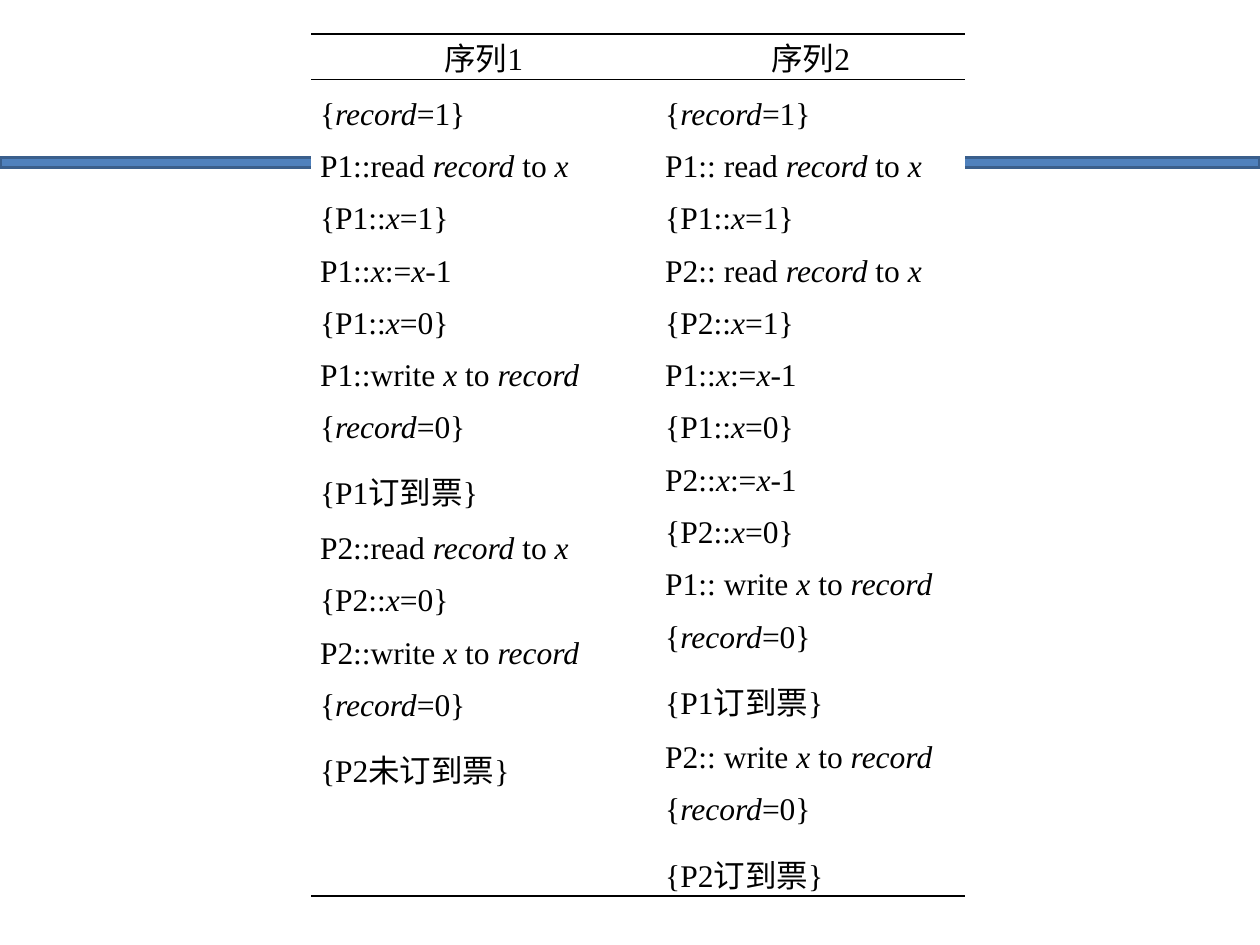
from lxml.etree import SubElement
from pptx import Presentation
from pptx.dml.color import RGBColor
from pptx.enum.shapes import MSO_SHAPE
from pptx.enum.text import PP_ALIGN
from pptx.oxml import parse_xml
from pptx.oxml.ns import nsdecls, qn
from pptx.util import Inches, Pt

COLORS = {"bar": "4F81BD", "bar_line": "3A5F8C", "text": "000000",
          "cell": "FFFFFF", "rule": "000000"}
NO_STYLE = "{2D5ABB26-0587-4C30-8999-92F81FD0307C}"

HEADERS = ["序列1", "序列2"]
SEQUENCES = [
    ["{*record*=1}", "P1::read *record* to *x*", "{P1::*x*=1}",
     "P1::*x*:=*x*-1", "{P1::*x*=0}", "P1::write *x* to *record*",
     "{*record*=0}", "{P1订到票}", "P2::read* record* to *x*",
     "{P2::*x*=0}", "P2::write *x* to *record*", "{*record*=0}",
     "{P2未订到票}"],
    ["{*record*=1}", "P1:: read *record* to *x*", "{P1::*x*=1}",
     "P2:: read *record* to *x*", "{P2::*x*=1}", "P1::*x*:=*x*-1",
     "{P1::*x*=0}", "P2::*x*:=*x*-1", "{P2::*x*=0}",
     "P1:: write *x* to *record*", "{*record*=0}", "{P1订到票}",
     "P2:: write *x* to *record*", "{*record*=0}", "{P2订到票}"],
]


def format_cell(cell):
    cell.margin_left = cell.margin_right = Inches(0.07)
    cell.margin_top = cell.margin_bottom = 0
    cell.fill.solid()
    cell.fill.fore_color.rgb = RGBColor.from_string(COLORS["cell"])
    properties = cell._tc.get_or_add_tcPr()
    for position, side in enumerate(["lnT", "lnB"]):
        properties.insert(position, parse_xml(
            f'<a:{side} {nsdecls("a")} w="{Pt(1)}"><a:solidFill>'
            f'<a:srgbClr val="{COLORS["rule"]}"/></a:solidFill></a:{side}>'))


def add_line(paragraph, line):
    for position, text in enumerate(line.split("*")):
        if text:
            run = paragraph.add_run()
            run.text = text
            run.font.name = "Times New Roman"
            run.font.size = Pt(18)
            run.font.italic = position % 2 == 1
            run.font.color.rgb = RGBColor.from_string(COLORS["text"])


presentation = Presentation()
presentation.slide_width = Inches(10)
presentation.slide_height = Inches(7.5)
slide = presentation.slides.add_slide(presentation.slide_layouts[6])

bar = slide.shapes.add_shape(
    MSO_SHAPE.RECTANGLE, 0, Inches(1.25), Inches(10), Inches(0.08))
bar.shadow.inherit = False
bar.fill.solid()
bar.fill.fore_color.rgb = RGBColor.from_string(COLORS["bar"])
bar.line.color.rgb = RGBColor.from_string(COLORS["bar_line"])
bar.line.width = Pt(2)

table = slide.shapes.add_table(
    2, 2, Inches(2.47), Inches(0.27), Inches(5.19), Inches(6.84)).table
table.horz_banding = False
table_properties = table._tbl.tblPr
style = table_properties.find(qn("a:tableStyleId"))
if style is None:
    style = SubElement(table_properties, qn("a:tableStyleId"))
style.text = NO_STYLE
table.columns[0].width = Inches(2.74)
table.columns[1].width = Inches(2.45)
table.rows[0].height = Inches(0.36)
table.rows[1].height = Inches(6.48)

for column, (header, sequence) in enumerate(zip(HEADERS, SEQUENCES)):
    header_cell = table.cell(0, column)
    format_cell(header_cell)
    paragraph = header_cell.text_frame.paragraphs[0]
    paragraph.alignment = PP_ALIGN.CENTER
    add_line(paragraph, header)

    body_cell = table.cell(1, column)
    format_cell(body_cell)
    text_frame = body_cell.text_frame
    for row, line in enumerate(sequence):
        paragraph = text_frame.add_paragraph() if row else text_frame.paragraphs[0]
        paragraph.alignment = PP_ALIGN.JUSTIFY
        paragraph.line_spacing = 1.5
        add_line(paragraph, line)

presentation.save("out.pptx")
